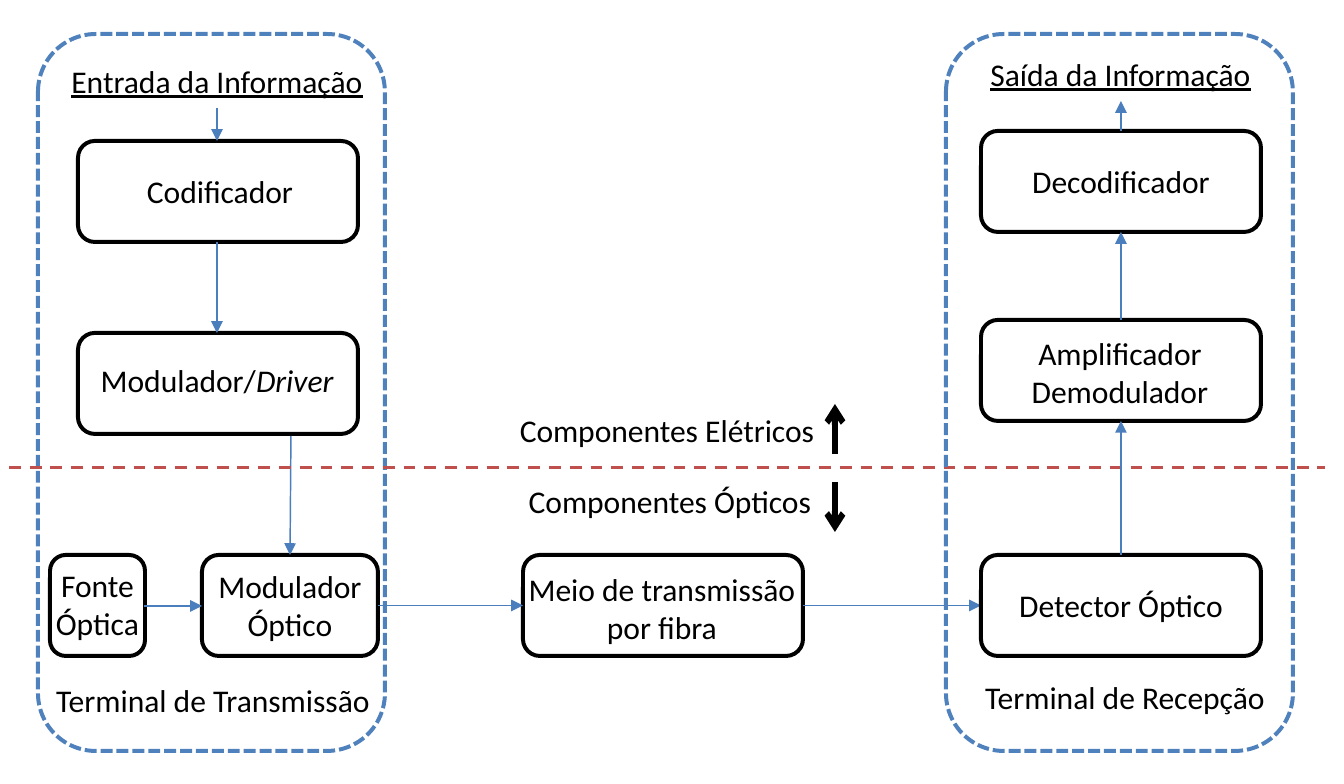
"""Builds a slide with the block diagram of an optical fibre link."""
from lxml import etree
from pptx import Presentation
from pptx import util as u
from pptx.dml.color import RGBColor
from pptx.enum import dml, shapes, text
from pptx.oxml import ns

COLORS = {"ink": "000000", "frame": "4F81BD", "arrow": "4B7EBC", "divider": "C0504D"}
FONT = "Calibri"
SCALE = 914400 / 142.2
SLIDE_SIZE = (1344, 784)
NODE_WIDTH, NODE_HEIGHT = 280, 101
LABEL_HEIGHTS = {1: 53, 2: 91}
LABEL_WIDTH = 358


def px(length):
    """Turn pixels into EMU."""
    return u.Emu(round(length * SCALE))


def style_line(line, color, width, dash=None):
    """Set colour, width and dash of a line."""
    line.color.rgb = RGBColor.from_string(COLORS[color])
    line.width = u.Pt(width)
    if dash:
        line.dash_style = dash


def add_text(slide, box, content, size=16, underline=False, italic_tail=""):
    """Add a centred text box whose last words may be italic."""
    shape = slide.shapes.add_textbox(*map(px, box))
    frame = shape.text_frame
    frame.word_wrap = True
    frame.auto_size = text.MSO_AUTO_SIZE.SHAPE_TO_FIT_TEXT
    frame.text = content
    if italic_tail:
        run = frame.paragraphs[-1].add_run()
        run.text = italic_tail
        run.font.italic = True
    for paragraph in frame.paragraphs:
        paragraph.alignment = text.PP_ALIGN.CENTER
        for run in paragraph.runs:
            run.font.name = FONT
            run.font.size = u.Pt(size)
            run.font.color.rgb = RGBColor.from_string(COLORS["ink"])
            if underline:
                run.font.underline = True


def add_rounded(slide, box, color, dash=None):
    """Add an unfilled rounded rectangle."""
    shape = slide.shapes.add_shape(shapes.MSO_SHAPE.ROUNDED_RECTANGLE, *map(px, box))
    shape.shadow.inherit = False
    shape.fill.background()
    style_line(shape.line, color, 2, dash)


def add_node(slide, left, top, content, width=NODE_WIDTH, lines=1,
             margin=9, nudge=(0, 0), **text_format):
    """Add a block with its label centred over it, shifted by the nudge."""
    add_rounded(slide, (left, top, width, NODE_HEIGHT), "ink")
    height = LABEL_HEIGHTS[lines]
    label = (left - margin + nudge[0], top + (NODE_HEIGHT - height) / 2 + nudge[1],
             width + 2 * margin, height)
    add_text(slide, label, content, **text_format)


def add_line(slide, start, end, color="arrow", width=0.75, dash=None, tip="triangle"):
    """Add a straight connector, with an arrowhead at its end if a tip is named."""
    connector = slide.shapes.add_connector(
        shapes.MSO_CONNECTOR.STRAIGHT, *map(px, (*start, *end)))
    style_line(connector.line, color, width, dash)
    properties = connector._element.spPr
    if tip:
        outline = properties.find(ns.qn("a:ln"))
        etree.SubElement(outline, ns.qn("a:tailEnd"), type=tip)
    etree.SubElement(properties, ns.qn("a:effectLst"))


def add_terminal(slide, box):
    """Add the dashed frame of a terminal."""
    add_rounded(slide, box, "frame", dml.MSO_LINE.SQUARE_DOT)


def build_transmitter(slide, box):
    """Place the transmission terminal."""
    left, top, _, _ = box
    add_terminal(slide, box)
    add_text(slide, (left, top + 21, LABEL_WIDTH, 53), "Entrada da Informação", underline=True)
    add_node(slide, left + 40, top + 107, "Codificador", nudge=(2, 0))
    add_node(slide, left + 40, top + 299, "Modulador/", nudge=(-1, -3), italic_tail="Driver")
    add_node(slide, left + 12, top + 521, "Fonte\vÓptica", width=95, lines=2, nudge=(0, -1))
    add_node(slide, left + 164, top + 521, "Modulador Óptico", width=176, lines=2, margin=-1)
    add_text(slide, (left - 4, top + 640, LABEL_WIDTH, 53), "Terminal de Transmissão")
    for start, end in (((179, 74), (179, 107)), ((179, 208), (179, 299)),
                       ((253, 402), (252, 521)), ((106, 572), (164, 572))):
        add_line(slide, (left + start[0], top + start[1]), (left + end[0], top + end[1]))


def build_receiver(slide, box):
    """Place the reception terminal."""
    left, top, _, _ = box
    add_terminal(slide, box)
    add_text(slide, (left + 25, top + 14, 299, 53), "Saída da Informação", underline=True)
    add_node(slide, left + 35, top + 97, "Decodificador")
    add_node(slide, left + 35, top + 286, "Amplificador\nDemodulador", lines=2, nudge=(-1, 2))
    add_node(slide, left + 35, top + 521, "Detector Óptico")
    add_text(slide, (left, top + 637, LABEL_WIDTH, 53), "Terminal de Recepção")
    for start, end in ((521, 387), (286, 198), (97, 67)):
        add_line(slide, (left + 175, top + start), (left + 175, top + end))


def build_channel(slide, box):
    """Place the fibre block and the arrows that link both terminals."""
    left, top, width, height = box
    middle = top + height / 2
    add_node(slide, left + 145, top, "Meio de transmissão por fibra", lines=2, nudge=(-1, 3))
    add_line(slide, (left, middle), (left + 145, middle))
    add_line(slide, (left + 425, middle), (left + width, middle))


def build_divider(slide, box):
    """Place the line between electrical and optical components and its legend."""
    left, top, width, height = box
    middle = top + height / 2
    add_line(slide, (left, middle), (left + width, middle), "divider", 1.5,
             dml.MSO_LINE.DASH, tip=None)
    add_text(slide, (left + 479, top, LABEL_WIDTH, 53), "Componentes Elétricos")
    add_text(slide, (left + 482, top + 71, LABEL_WIDTH, 53), "Componentes Ópticos")
    for start, end in ((50, 0), (78, 128)):
        add_line(slide, (left + 826, top + start), (left + 826, top + end),
                 "ink", 3, tip="arrow")


def main():
    """Build and save the presentation."""
    presentation = Presentation()
    presentation.slide_width, presentation.slide_height = map(px, SLIDE_SIZE)
    slide = presentation.slides.add_slide(presentation.slide_layouts[6])
    build_transmitter(slide, (38, 34, 347, 717))
    build_channel(slide, (378, 555, 603, NODE_HEIGHT))
    build_divider(slide, (9, 404, 1316, 128))
    build_receiver(slide, (946, 34, 347, 717))
    presentation.save("out.pptx")


main()
